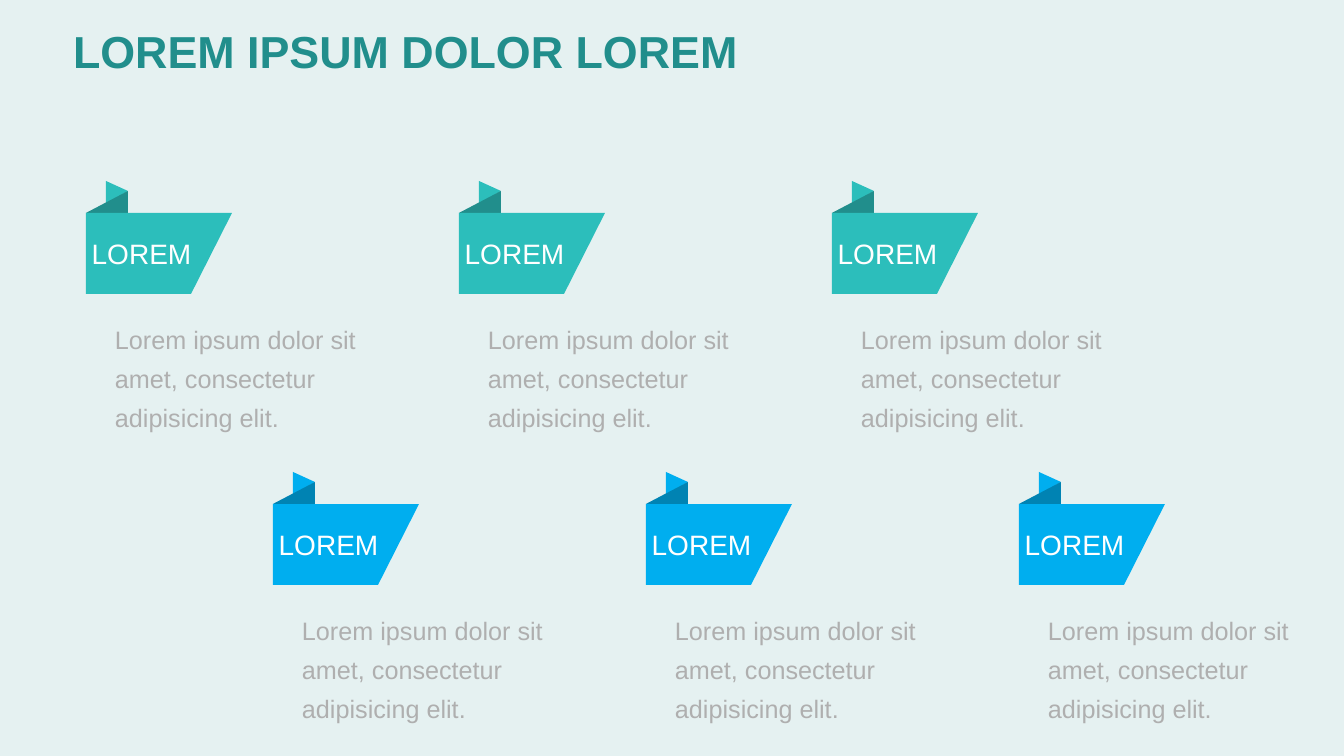
from pptx import Presentation
from pptx.dml.color import RGBColor
from pptx.enum.shapes import MSO_SHAPE
from pptx.enum.text import MSO_ANCHOR, MSO_AUTO_SIZE, PP_ALIGN
from pptx.util import Pt

EMU_PER_PX = 914400 / 100.8
SLIDE_WIDTH, SLIDE_HEIGHT = 1344, 756
TITLE_ONLY = 5
RIGHT_TRIANGLE = MSO_SHAPE.RIGHT_TRIANGLE
MIDDLE, TOP = MSO_ANCHOR.MIDDLE, MSO_ANCHOR.TOP
LEFT, CENTER = PP_ALIGN.LEFT, PP_ALIGN.CENTER
NO_AUTOFIT = MSO_AUTO_SIZE.NONE

COLORS = {
    "background": "E5F1F1",
    "teal": "2CBEBB",
    "dark teal": "218E8C",
    "blue": "00AEEF",
    "dark blue": "0083B3",
    "gray": "AFAFAF",
    "white": "FFFFFF",
}
COLUMNS, COLUMN_STEP = 3, 373
# left, top, ribbon colour, fold colour
ROWS = [
    (86, 181, "teal", "dark teal"),
    (273, 472, "blue", "dark blue"),
]
TITLE = "LOREM IPSUM DOLOR LOREM"
LABEL = "LOREM"
DESCRIPTION = "Lorem ipsum dolor sit amet, consectetur adipisicing elit."


def px(length):
    return round(length * EMU_PER_PX)


def color(name):
    return RGBColor.from_string(COLORS[name])


class RibbonSlide:
    font_name = "Arial"

    def __init__(self, presentation):
        self.slide = presentation.slides.add_slide(presentation.slide_layouts[TITLE_ONLY])
        fill = self.slide.background.fill
        fill.solid()
        fill.fore_color.rgb = color("background")

    def paint(self, shape, color_name):
        shape.shadow.inherit = False
        shape.fill.solid()
        shape.fill.fore_color.rgb = color(color_name)
        shape.line.fill.background()

    def set_text(self, shape, text, size, color_name, align=LEFT, anchor=TOP,
                 spacing=1.0, bold=False, margins=(0, 0, 0, 0)):
        """Fill a shape with one formatted paragraph; margins are left, top, right, bottom."""
        frame = shape.text_frame
        frame.text = text
        frame.word_wrap = True
        frame.auto_size = NO_AUTOFIT
        frame.vertical_anchor = anchor
        (frame.margin_left, frame.margin_top,
         frame.margin_right, frame.margin_bottom) = map(px, margins)
        paragraph = frame.paragraphs[0]
        paragraph.alignment = align
        paragraph.line_spacing = spacing
        font = paragraph.runs[0].font
        font.name, font.size, font.bold = self.font_name, Pt(size), bold
        font.color.rgb = color(color_name)

    def title(self, text, left, top, width, height):
        title = self.slide.shapes.title
        title.left, title.top = px(left), px(top)
        title.width, title.height = px(width), px(height)
        self.set_text(title, text, 32, "dark teal", anchor=MIDDLE, spacing=0.9,
                      bold=True, margins=(10, 5, 10, 5))

    def polygon(self, shapes, points, color_name):
        start, *others = [(px(x), px(y)) for x, y in points]
        builder = shapes.build_freeform(*start)
        builder.add_line_segments(others, close=True)
        shape = builder.convert_to_shape()
        self.paint(shape, color_name)
        return shape

    def fold(self, shapes, left, top, width, height, color_name):
        """Draw a right triangle with its square corner at the bottom right."""
        shape = shapes.add_shape(RIGHT_TRIANGLE, px(left), px(top), px(width), px(height))
        shape._element.spPr.get_or_add_xfrm().set("flipH", "1")
        self.paint(shape, color_name)

    def ribbon(self, left, top, ribbon_color, fold_color):
        """Group a folded ribbon, its label and the description below it."""
        shapes = self.slide.shapes.add_group_shape().shapes
        tail_left, fold_right = left + 20, left + 42
        fold_top, body_top, body_bottom = top + 10, top + 32, top + 113

        self.polygon(shapes, [(tail_left, top), (fold_right, fold_top),
                              (tail_left, top + 23)], ribbon_color)
        description = shapes.add_textbox(px(left + 29), px(top + 134), px(247), px(135))
        self.set_text(description, DESCRIPTION, 18, "gray", spacing=1.3)
        self.fold(shapes, left, fold_top, fold_right - left, body_top - fold_top, fold_color)
        body = self.polygon(shapes, [(left, body_top), (left + 146, body_top),
                                     (left + 105, body_bottom), (left, body_bottom)],
                            ribbon_color)
        self.set_text(body, LABEL, 20, "white", align=CENTER, anchor=MIDDLE,
                      margins=(0, 0, 35, 0))


def main():
    presentation = Presentation()
    presentation.slide_width = px(SLIDE_WIDTH)
    presentation.slide_height = px(SLIDE_HEIGHT)
    page = RibbonSlide(presentation)
    page.title(TITLE, 63, 18, 1206, 71)
    for left, top, ribbon_color, fold_color in ROWS:
        for column in range(COLUMNS):
            page.ribbon(left + column * COLUMN_STEP, top, ribbon_color, fold_color)
    presentation.save("out.pptx")


if __name__ == "__main__":
    main()
